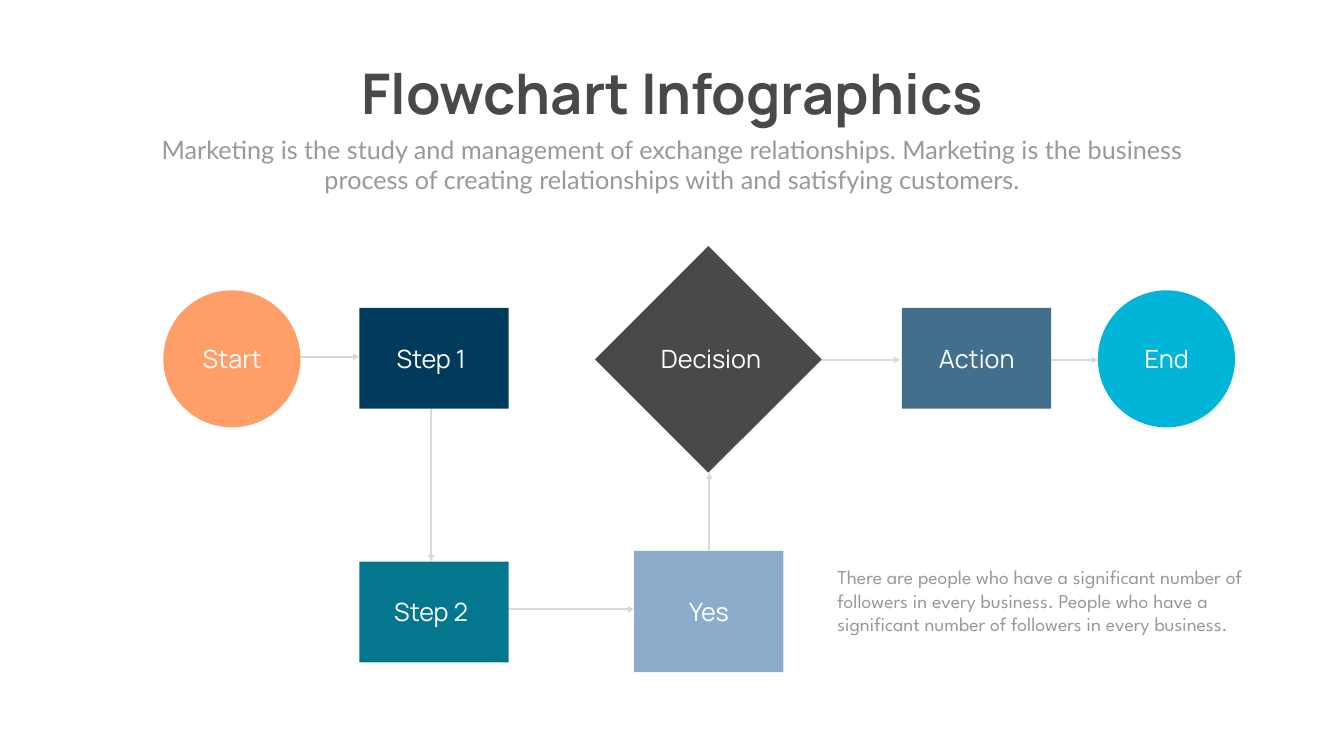
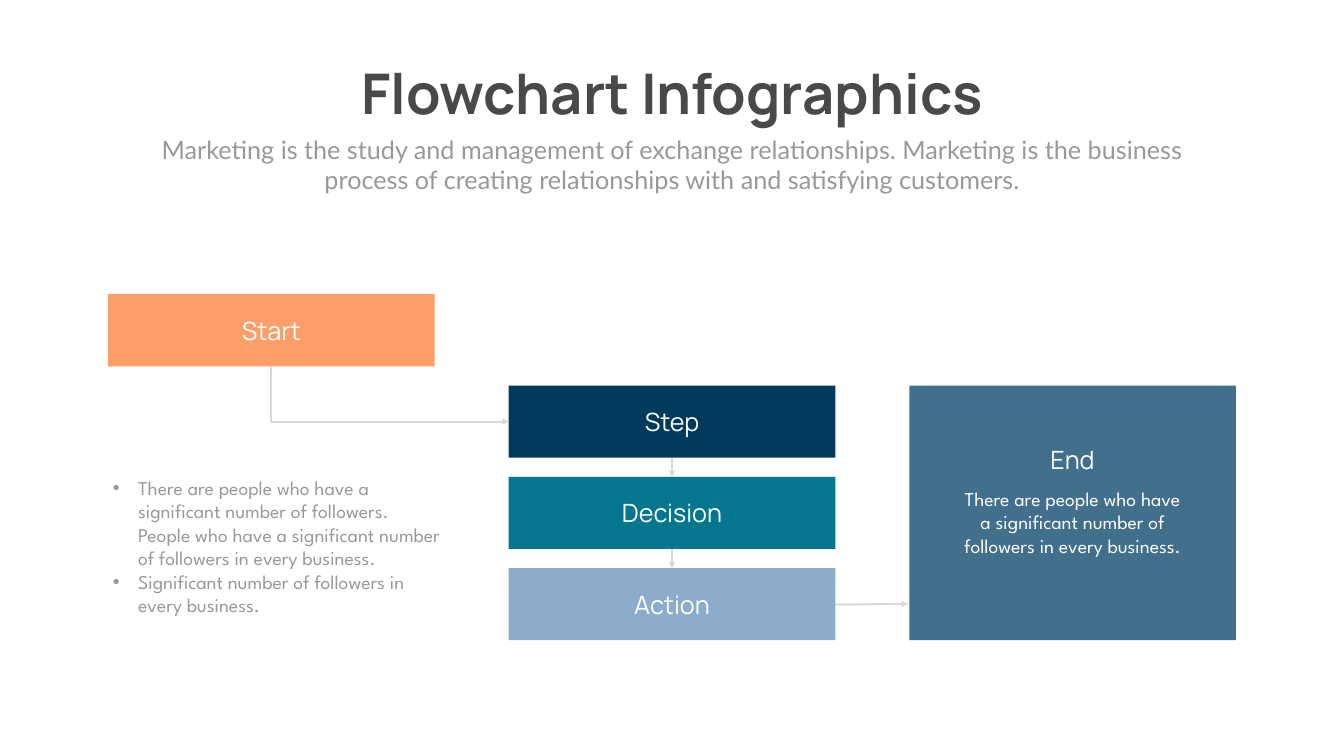
from dataclasses import dataclass

from lxml import etree
from pptx import Presentation
from pptx.dml.color import RGBColor
from pptx.enum.shapes import MSO_CONNECTOR, MSO_SHAPE
from pptx.enum.text import MSO_ANCHOR, MSO_AUTO_SIZE, PP_ALIGN
from pptx.oxml.ns import qn
from pptx.util import Cm, Pt

RECTANGLE, OVAL = MSO_SHAPE.RECTANGLE, MSO_SHAPE.OVAL
STRAIGHT, ELBOW = MSO_CONNECTOR.STRAIGHT, MSO_CONNECTOR.ELBOW
LEFT, CENTER = PP_ALIGN.LEFT, PP_ALIGN.CENTER
TOP, MIDDLE = MSO_ANCHOR.TOP, MSO_ANCHOR.MIDDLE
FIT_SHAPE = MSO_AUTO_SIZE.SHAPE_TO_FIT_TEXT
TOP_SIDE, LEFT_SIDE, BOTTOM_SIDE = 0, 1, 2

WHITE, CHARCOAL, GREY, PALE_GREY = "FFFFFF", "494949", "999999", "D9D9D9"
ORANGE, NAVY, TEAL = "FE9F6A", "003B5B", "04768D"
LIGHT_BLUE, SLATE, CYAN = "8CACCC", "416F8C", "00B5D8"

TITLE = "Flowchart Infographics"
SUBTITLE = (
    "Marketing is the study and management of exchange relationships. "
    "Marketing is the business process of creating relationships with "
    "and satisfying customers."
)


@dataclass(frozen=True)
class Area:
    """A rectangle on the page, in centimetres."""
    left: float
    top: float
    width: float
    height: float

    def lengths(self):
        return Cm(self.left), Cm(self.top), Cm(self.width), Cm(self.height)


@dataclass(frozen=True)
class TextStyle:
    font: str
    size: int
    color: str
    align: PP_ALIGN = CENTER
    bold: bool = False
    bullets: bool = False


@dataclass(frozen=True)
class Node:
    """A flowchart symbol; its label sits in a box of its own."""
    text: str
    area: Area
    color: str
    label_left: float
    label_top: float
    shape: MSO_SHAPE = RECTANGLE
    rotation: int = 0


@dataclass(frozen=True)
class Arrow:
    start: tuple[float, float]
    end: tuple[float, float]


TITLE_STYLE = TextStyle("Manrope", 80, CHARCOAL, bold=True)
SUBTITLE_STYLE = TextStyle("Lato", 36, GREY)
LABEL_STYLE = TextStyle("Manrope", 36, WHITE)
NOTE_STYLE = TextStyle("League Spartan", 28, GREY, LEFT)
BULLET_STYLE = TextStyle("League Spartan", 28, GREY, LEFT, bullets=True)
PANEL_STYLE = TextStyle("League Spartan", 28, WHITE)

UPPER_LABEL, LOWER_LABEL = 17.32, 30.07
LABEL_WIDTH, LABEL_HEIGHT = 5.51, 1.55
CIRCLE, BOX_WIDTH, BOX_HEIGHT = 6.91, 7.52, 5.08

NODES = [
    Node("Start", Area(8.23, 14.63, CIRCLE, CIRCLE), ORANGE,
         8.94, UPPER_LABEL, OVAL),
    Node("Step 1", Area(18.11, 15.52, BOX_WIDTH, BOX_HEIGHT), NAVY,
         18.97, UPPER_LABEL),
    Node("Action", Area(45.44, 15.52, BOX_WIDTH, BOX_HEIGHT), SLATE,
         46.46, UPPER_LABEL),
    Node("End", Area(55.32, 14.63, CIRCLE, CIRCLE), CYAN,
         56.03, UPPER_LABEL, OVAL),
    Node("Decision", Area(31.65, 14.07, 8.08, 8.08), CHARCOAL,
         33.07, UPPER_LABEL, rotation=45),
    Node("Yes", Area(31.95, 27.76, BOX_WIDTH, 6.12), LIGHT_BLUE,
         32.97, LOWER_LABEL),
    Node("Step 2", Area(18.11, 28.3, BOX_WIDTH, BOX_HEIGHT), TEAL,
         18.97, LOWER_LABEL),
]
ARROWS = [
    Arrow((48.9, 18.14), (55.32, 18.14)),
    Arrow((38.96, 18.14), (45.36, 18.14)),
    Arrow((35.74, 28.3), (35.74, 23.83)),
    Arrow((25.53, 30.71), (31.95, 30.71)),
    Arrow((14.73, 17.98), (18.11, 17.98)),
    Arrow((21.72, 20.6), (21.72, 28.3)),
]

COLUMN_LEFT, COLUMN_PITCH = 5.44, 20.19
ROW_TOP, ROW_PITCH = 19.43, 4.6
BAR_WIDTH, BAR_HEIGHT = 16.46, 3.63
STEPS = [("Step", NAVY), ("Decision", TEAL), ("Action", LIGHT_BLUE)]


def rgb(color: str) -> RGBColor:
    return RGBColor.from_string(color)


def write(frame, texts: list[str], style: TextStyle) -> None:
    for index, text in enumerate(texts):
        para = frame.paragraphs[0] if index == 0 else frame.add_paragraph()
        para.text = text
        para.alignment = style.align
        if style.bullets:
            properties = para._p.get_or_add_pPr()
            properties.set("marL", str(Cm(1.27)))
            properties.set("indent", str(-Cm(1.27)))
            font = etree.SubElement(properties, qn("a:buFont"))
            font.set("typeface", "Arial")
            etree.SubElement(properties, qn("a:buChar")).set("char", "•")
        para.font.name = style.font
        para.font.size = Pt(style.size)
        para.font.bold = style.bold
        para.font.color.rgb = rgb(style.color)


def add_text(page, area: Area, texts: list[str], style: TextStyle,
             wrap: bool = True, inset: bool = True) -> None:
    frame = page.shapes.add_textbox(*area.lengths()).text_frame
    frame.word_wrap = wrap
    frame.auto_size = FIT_SHAPE
    frame.vertical_anchor = TOP
    if not inset:
        frame.margin_left = frame.margin_right = 0
        frame.margin_top = frame.margin_bottom = 0
    write(frame, texts, style)


def add_block(page, area: Area, color: str, shape: MSO_SHAPE = RECTANGLE,
              text: str = ""):
    block = page.shapes.add_shape(shape, *area.lengths())
    block.shadow.inherit = False
    block.fill.solid()
    block.fill.fore_color.rgb = rgb(color)
    block.line.fill.background()
    if text:
        block.text_frame.vertical_anchor = MIDDLE
        write(block.text_frame, [text], LABEL_STYLE)
    return block


def add_arrow(page, arrow: Arrow, kind: MSO_CONNECTOR = STRAIGHT):
    points = [Cm(value) for value in (*arrow.start, *arrow.end)]
    connector = page.shapes.add_connector(kind, *points)
    connector.line.color.rgb = rgb(PALE_GREY)
    connector.line.width = Pt(3)
    outline = connector.line._get_or_add_ln()
    etree.SubElement(outline, qn("a:tailEnd")).set("type", "triangle")
    etree.SubElement(connector._element.spPr, qn("a:effectLst"))
    return connector


def join_down(page, upper, lower) -> None:
    connector = add_arrow(page, Arrow((0, 0), (1, 1)))
    connector.begin_connect(upper, BOTTOM_SIDE)
    connector.end_connect(lower, TOP_SIDE)


def join_around_corner(page, upper, lower) -> None:
    """Run down from one block, then right into the next, with one bend."""
    connector = add_arrow(page, Arrow((0, 0), (1, 1)), ELBOW)
    connector.begin_connect(upper, BOTTOM_SIDE)
    connector.end_connect(lower, LEFT_SIDE)
    left, top = connector.begin_x, connector.begin_y
    across, down = connector.end_x - left, connector.end_y - top
    connector.left = left + (across - down) // 2
    connector.top = top + (down - across) // 2
    connector.width, connector.height = down, across
    properties = connector._element.spPr
    properties.find(qn("a:prstGeom")).set("prst", "bentConnector2")
    frame = properties.find(qn("a:xfrm"))
    frame.set("rot", str(270 * 60000))
    frame.set("flipH", "1")


def add_page(deck):
    """Add a blank page with the shared heading."""
    page = deck.slides.add_slide(deck.slide_layouts[6])
    add_text(page, Area(16.64, 2.84, 34.47, 3.68), [TITLE], TITLE_STYLE,
             wrap=False)
    add_text(page, Area(7.42, 6.63, 52.88, 3.33), [SUBTITLE], SUBTITLE_STYLE)
    return page


def build_decision_page(deck) -> None:
    page = add_page(deck)
    for arrow in ARROWS:
        add_arrow(page, arrow)
    for node in NODES:
        block = add_block(page, node.area, node.color, node.shape)
        block.rotation = node.rotation
    for node in NODES:
        label = Area(node.label_left, node.label_top,
                     LABEL_WIDTH, LABEL_HEIGHT)
        add_text(page, label, [node.text], LABEL_STYLE, inset=False)
    add_text(page, Area(41.94, 28.35, 21.26, 5.05), [
        "There are people who have a significant number of followers in every "
        "business. People who have a significant number of followers in every "
        "business."
    ], NOTE_STYLE)


def build_steps_page(deck) -> None:
    page = add_page(deck)
    add_arrow(page, Arrow((41.53, 30.48), (45.75, 30.43)))

    start = add_block(page, Area(COLUMN_LEFT, 14.83, BAR_WIDTH, BAR_HEIGHT),
                      ORANGE, text="Start")
    steps = [
        add_block(page, Area(COLUMN_LEFT + COLUMN_PITCH,
                             ROW_TOP + row * ROW_PITCH,
                             BAR_WIDTH, BAR_HEIGHT), color, text=text)
        for row, (text, color) in enumerate(STEPS)
    ]
    panel_height = (len(STEPS) - 1) * ROW_PITCH + BAR_HEIGHT
    add_block(page, Area(COLUMN_LEFT + 2 * COLUMN_PITCH, ROW_TOP,
                         BAR_WIDTH, panel_height), SLATE)

    join_around_corner(page, start, steps[0])
    for upper, lower in zip(steps, steps[1:]):
        join_down(page, upper, lower)

    add_text(page, Area(COLUMN_LEFT, 23.85, 17.09, 8.64), [
        "There are people who have a significant number of followers. People "
        "who have a significant number of followers in every business.",
        "Significant number of followers in every business.",
    ], BULLET_STYLE)
    add_text(page, Area(48.16, 24.41, 11.76, 5.05), [
        "There are people who have a significant number of followers in every "
        "business."
    ], PANEL_STYLE)
    add_text(page, Area(50.55, 22.25, 6.99, 1.8), ["End"], LABEL_STYLE)


def main() -> None:
    deck = Presentation()
    deck.slide_width, deck.slide_height = Cm(67.72), Cm(38.1)
    build_decision_page(deck)
    build_steps_page(deck)
    deck.save("out.pptx")


if __name__ == "__main__":
    main()
